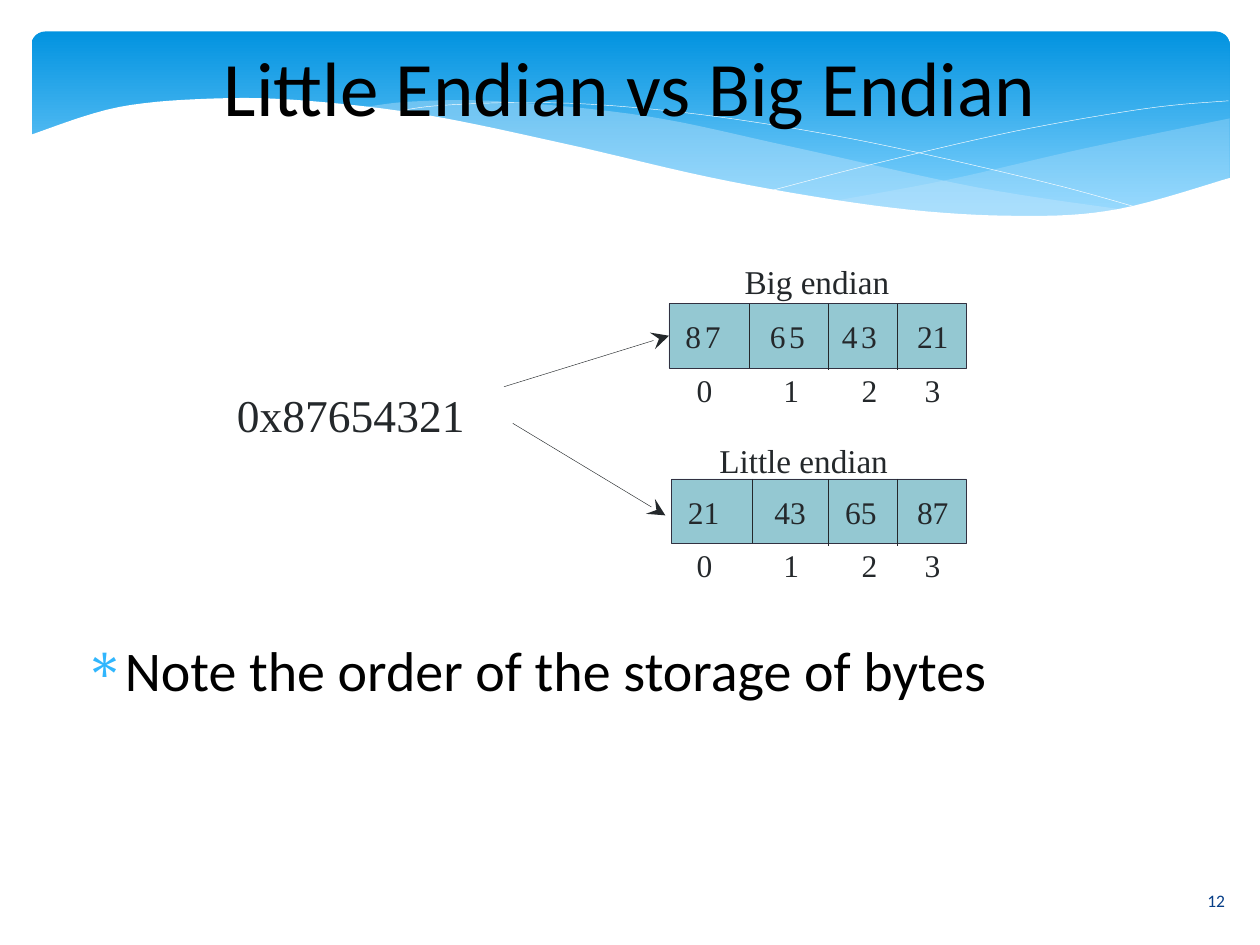
from pptx import Presentation, util as u
from pptx.dml.color import RGBColor
from pptx.enum import shapes, text
from pptx.oxml.ns import qn
from lxml import etree

Pt = u.Pt
WHITE = RGBColor(0xFF, 0xFF, 0xFF)
BLACK = RGBColor(0, 0, 0)
SKY = RGBColor(0x02, 0x93, 0xE0)
PALE_SKY = RGBColor(0x83, 0xD3, 0xFE)
MIST = RGBColor(0xC6, 0xE7, 0xFC)
BULLET = RGBColor(0x31, 0xB6, 0xFD)
NAVY = RGBColor(0x07, 0x3E, 0x87)
TEAL = RGBColor(0x94, 0xC8, 0xD2)
EDGE = RGBColor(0x32, 0x31, 0x41)
INK = RGBColor(0x24, 0x28, 0x2B)
HAIRLINE = Pt(0.25)
LEFT_SIDE = 1
CURVE_STEPS = 8

prs = Presentation()
prs.slide_width, prs.slide_height = Pt(720), Pt(540)
s = prs.slides.add_slide(prs.slide_layouts[6])


def add_text(words, x, y, w, h, size=18, font="Times New Roman", color=INK,
             align=text.PP_ALIGN.LEFT, anchor=text.MSO_ANCHOR.TOP, spacing=0):
    tf = s.shapes.add_textbox(Pt(x), Pt(y), Pt(w), Pt(h)).text_frame
    tf.word_wrap = True
    tf.margin_left = tf.margin_right = tf.margin_top = tf.margin_bottom = 0
    tf.vertical_anchor = anchor
    p = tf.paragraphs[0]
    p.alignment = align
    r = p.add_run()
    r.text = words
    r.font.size, r.font.name = Pt(size), font
    r.font.color.rgb = color
    if spacing:
        r.font._element.set("spc", str(spacing))
    return p


def add_line(x1, y1, x2, y2):
    cx = s.shapes.add_connector(shapes.MSO_CONNECTOR.STRAIGHT, Pt(x1), Pt(y1), Pt(x2), Pt(y2))
    cx.line.color.rgb = INK
    cx.line.width = HAIRLINE
    etree.SubElement(cx._element.spPr, qn("a:effectLst"))
    return cx


sp = s.shapes.add_shape(shapes.MSO_SHAPE.ROUNDED_RECTANGLE, Pt(18), Pt(18), Pt(684.7), Pt(112.3))
sp.adjustments[0] = 0.07
sp.shadow.inherit = False
sp.line.fill.background()
sp.fill.gradient()
sp.fill.gradient_angle = 270
for stop, color, position in zip(sp.fill.gradient_stops, (SKY, PALE_SKY), (0, 0.9)):
    stop.color.rgb, stop.position = color, position

right_top = [(702.7, 67.7), (620, 84.8), (542, 102.7), (476, 115)]
right_bottom = [(476, 115), (545, 122.5), (593, 124), (652, 117.5), (702.7, 101.5)]
middle_top = [(643, 120), (558, 107), (453, 84), (370, 66.5), (287, 58), (236, 58), (206, 61.6)]
middle_bottom = [(206, 61.6), (261, 70), (323, 83), (407, 102.7), (479, 115.7), (539, 122.5),
                 (596, 124.3), (643, 120)]
falling_curve = [(222.5, 64.8), (248, 60.6), (299, 58.6), (352, 60.6), (419, 68), (500, 82),
                 (598, 104.4), (653, 119.5)]
rising_curve = [(441.4, 108.7), (500, 93.5), (580, 75), (655, 62), (702, 57.6)]
white_crest = [(703.4, 101.5), (639, 119.5), (582.5, 123.4), (510, 118.8), (417, 103.7),
               (322, 82), (245, 66), (180, 58), (127, 56.2), (68, 61.2), (16.6, 77.4)]
white_base = [(16.6, 161.3), (703.4, 161.3)]

for edges, fill, opacity in [
    ([right_top, right_bottom], MIST, 29),
    ([middle_top, middle_bottom], MIST, 40),
    ([falling_curve], None, 100),
    ([rising_curve], None, 100),
    ([white_crest, white_base], WHITE, 100),
]:
    outline = []
    for knots in edges:
        padded = [knots[0], *knots, knots[-1]]
        outline.append(knots[0])
        for before, start, end, after in zip(padded, padded[1:], padded[2:], padded[3:]):
            for step in range(1, CURVE_STEPS + 1):
                t = step / CURVE_STEPS
                outline.append(tuple(
                    b + ((c - a) * t + (2 * a - 5 * b + 4 * c - d) * t ** 2
                         + (3 * b - a - 3 * c + d) * t ** 3) / 2
                    for a, b, c, d in zip(before, start, end, after)))
    points = [(Pt(x), Pt(y)) for x, y in outline]
    fb = s.shapes.build_freeform(*points[0])
    fb.add_line_segments(points[1:], close=fill is not None)
    sp = fb.convert_to_shape()
    sp.shadow.inherit = False
    if fill is None:
        sp.fill.background()
        sp.line.color.rgb = WHITE
        sp.line.width = HAIRLINE
    else:
        sp.line.fill.background()
        sp.fill.solid()
        sp.fill.fore_color.rgb = fill
        clr = sp._element.spPr.find(qn("a:solidFill"))[0]
        etree.SubElement(clr, qn("a:alpha"), val=str(opacity * 1000))

centred = dict(font="Calibri", align=text.PP_ALIGN.CENTER, anchor=text.MSO_ANCHOR.MIDDLE)
add_text("12", 673, 500.4, 43.9, 28.8, size=10, color=NAVY, **centred)
add_text("Little Endian vs Big Endian", 18, 12.2, 684, 73.4, size=44, color=BLACK, **centred)

p = add_text("Note the order of the storage of bytes", 30.2, 362.9, 660.2, 119.5,
             size=32, font="Calibri", color=BLACK)
pPr = p._p.get_or_add_pPr()
pPr.set("marL", str(Pt(40)))
pPr.set("indent", str(Pt(-22)))
bu_clr = etree.SubElement(pPr, qn("a:buClr"))
etree.SubElement(bu_clr, qn("a:srgbClr"), val=str(BULLET))
etree.SubElement(pPr, qn("a:buFont"), typeface="Symbol")
etree.SubElement(pPr, qn("a:buChar"), char="∗")

add_text("0x87654321", 135.4, 221, 145, 35.3, size=26)

box_right, box_height, divider_overhang = 552.2, 36.7, 1.5
index_xs = (398, 447.6, 492.3, 528.3)
big_bytes = ["87", "65", "43", "21"]
big = dict(label="Big endian", label_at=(425.5, 149.3), left=382.3, top=173.5,
           values=big_bytes, value_xs=(391.7, 439.9, 481, 524), spacings=(210, 210, 210, 0),
           arrow_from=(288, 221), arrow_to=(382.3, 191.85), joined=True)
little = dict(label="Little endian", label_at=(411.1, 251.6), left=383.8, top=273.6,
              values=big_bytes[::-1], value_xs=(393.1, 442.5, 483, 524), spacings=(0, 0, 0, 0),
              arrow_from=(293, 241.9), arrow_to=(380.2, 294.5), joined=False)

for row in (big, little):
    left, top = row["left"], row["top"]
    bottom = top + box_height
    sp = s.shapes.add_shape(shapes.MSO_SHAPE.RECTANGLE, Pt(left), Pt(top),
                            Pt(box_right - left), Pt(box_height))
    sp.shadow.inherit = False
    sp.fill.solid()
    sp.fill.fore_color.rgb = TEAL
    sp.line.color.rgb = EDGE
    sp.line.width = HAIRLINE
    for x, overhang in [(left + 46, 0), (473, divider_overhang), (512.6, divider_overhang)]:
        add_line(x, top, x, bottom + overhang)

    add_text(row["label"], *row["label_at"], 113, 28.8, size=19)
    for value, x, spacing in zip(row["values"], row["value_xs"], row["spacings"]):
        add_text(value, x, top + 7.9, 27, 21.6, spacing=spacing)
    for index, x in enumerate(index_xs):
        add_text(str(index), x, bottom + 1.8, 18, 21.6)

    cx = add_line(*row["arrow_from"], *row["arrow_to"])
    if row["joined"]:
        cx.end_connect(sp, LEFT_SIDE)
    ln = cx._element.spPr.find(qn("a:ln"))
    etree.SubElement(ln, qn("a:tailEnd"), type="stealth", w="lg", len="lg")

prs.save("out.pptx")
